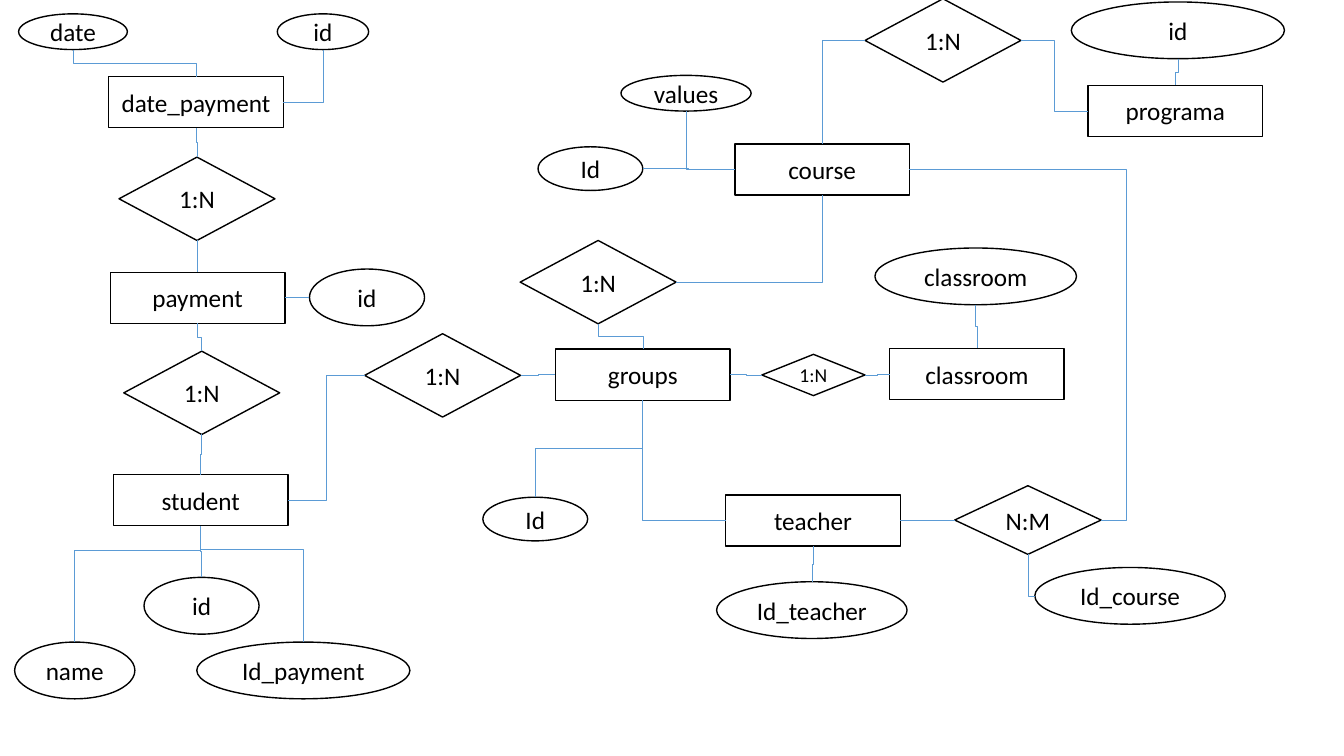
"""Build the entity-relationship diagram of a school as one slide."""
from dataclasses import dataclass
from enum import IntEnum

from pptx import Presentation
from pptx.dml.color import RGBColor
from pptx.enum import shapes, text
from pptx.oxml import ns, xmlchemy as xc
from pptx.util import Cm, Pt


@dataclass(frozen=True)
class Theme:
    """Colours, font and sizes of the diagram."""
    font: str = "Calibri"
    ink: RGBColor = RGBColor(0, 0, 0)
    paper: RGBColor = RGBColor(255, 255, 255)
    link: RGBColor = RGBColor(0x5B, 0x9B, 0xD5)
    size: Pt = Pt(18)
    small: Pt = Pt(14)
    outline: Pt = Pt(1)
    thin: Pt = Pt(0.5)


class Side(IntEnum):
    """Connection sites of a four-sided shape."""
    TOP = 0
    LEFT = 1
    BOTTOM = 2
    RIGHT = 3


THEME = Theme()
T, L, B, R = Side
RECT = shapes.MSO_SHAPE.RECTANGLE
DIAMOND = shapes.MSO_SHAPE.DIAMOND
OVAL = shapes.MSO_SHAPE.OVAL

ENTITIES = {
    "course": (18.52, 3.63),
    "programa": (27.42, 2.15),
    "groups": (14.0, 8.8),
    "payment": (2.78, 6.86),
    "teacher": (18.29, 12.47),
    "student": (2.86, 11.96),
    "date_payment": (2.74, 1.93),
    "classroom": (22.42, 8.78),
}
RELATIONS = {
    "programa-course": ("1:N", 21.8, -0.03),
    "teacher-course": ("N:M", 24.06, 12.24, 3.69, 1.73),
    "payment-student": ("1:N", 3.12, 8.85),
    "course-groups": ("1:N", 13.11, 6.06),
    "student-groups": ("1:N", 9.19, 8.41),
    "date-payment": ("1:N", 3.0, 3.96),
    "groups-classroom": ("1:N", 19.2, 8.93, 2.6, 1.04, THEME.small),
}
ATTRIBUTES = {
    "programa.id": ("id", 27.0, 0.05, 5.37),
    "student.id": ("id", 3.63, 14.55, 2.9),
    "payment.id": ("id", 7.8, 6.78, 2.9),
    "student.name": ("name", 0.37, 16.18, 3.03),
    "teacher.id": ("Id_teacher", 18.06, 14.66, 4.8),
    "student.payment": ("Id_payment", 4.96, 16.18, 5.37),
    "classroom.name": ("classroom", 22.05, 6.25, 5.08),
    "course.id": ("Id", 13.56, 3.7, 2.64, 1.1),
    "course.values": ("values", 15.65, 1.9, 3.28, 0.9),
    "date.id": ("id", 6.99, 0.35, 2.3, 0.9),
    "date.date": ("date", 0.47, 0.35, 2.74, 0.9),
    "groups.id": ("Id", 12.17, 12.53, 2.64, 1.1),
    "teaching.course": ("Id_course", 26.08, 14.3, 4.8),
}
LINKS = [
    ("programa", L, "programa-course", R),
    ("programa-course", L, "course", T),
    ("course", B, "course-groups", R),
    ("course-groups", B, "groups", T),
    ("teacher", R, "teacher-course", L),
    ("course", R, "teacher-course", R, 1.13),
    ("groups", B, "teacher", L),
    ("student", R, "student-groups", L),
    ("student-groups", R, "groups", L),
    ("student", T, "payment-student", B),
    ("payment", B, "payment-student", T),
    ("date-payment", B, "payment", T),
    ("date-payment", T, "date_payment", B),
    ("groups", R, "groups-classroom", L),
    ("classroom", L, "groups-classroom", R),
    ("programa.id", B, "programa", T),
    ("course.id", R, "course", L),
    ("course.values", B, "course", L),
    ("student.id", T, "student", B),
    ("student.name", T, "student", B, 0.79),
    ("student", B, "student.payment", T, 0.2),
    ("payment", R, "payment.id", L),
    ("date_payment", T, "date.date", B),
    ("date_payment", R, "date.id", B),
    ("classroom.name", B, "classroom", T),
    ("groups.id", T, "groups", B),
    ("teacher-course", B, "teaching.course", L),
    ("teacher", B, "teacher.id", T),
]


def apply(obj, values):
    """Set every attribute named in values on obj."""
    for name, value in values.items():
        setattr(obj, name, value)


def add_node(s, kind, label, x, y, w, h, size=THEME.size):
    """Add one outlined shape with a centred label."""
    sp = s.shapes.add_shape(kind, Cm(x), Cm(y), Cm(w), Cm(h))
    sp.shadow.inherit = False
    sp.fill.solid()
    sp.fill.fore_color.rgb = THEME.paper
    sp.line.color.rgb = THEME.ink
    sp.line.width = THEME.outline
    tf = sp.text_frame
    apply(tf, {"word_wrap": True, "vertical_anchor": text.MSO_ANCHOR.MIDDLE})
    p = tf.paragraphs[0]
    p.alignment = text.PP_ALIGN.CENTER
    r = p.add_run()
    r.text = label
    apply(r.font, {"name": THEME.font, "size": size})
    r.font.color.rgb = THEME.ink
    return sp


def add_entity(s, label, x, y):
    """Add an entity box."""
    return add_node(s, RECT, label, x, y, 4.4, 1.29)


def add_relation(s, label, x, y, w=3.93, h=2.1, size=THEME.size):
    """Add a relationship diamond."""
    return add_node(s, DIAMOND, label, x, y, w, h, size)


def add_attribute(s, label, x, y, w, h=1.43):
    """Add an attribute ellipse."""
    return add_node(s, OVAL, label, x, y, w, h)


def route(c, start, end, bend):
    """Turn and flip an elbow so that it leaves and arrives at the given sides."""
    x, y = c.begin_x, c.begin_y
    dx, dy = c.end_x - x, c.end_y - y
    w, h = abs(dx), abs(dy)
    if start in (T, B):
        w, h = h, w
        turn, flip_h, flip_v = (270 if dx * dy > 0 else 90), dx > 0, dy < 0
    else:
        turn, flip_h, flip_v = (180 if dx < 0 else 0), False, (dx < 0) != (dy < 0)
    apply(c, {"left": x + (dx - w) // 2, "top": y + (dy - h) // 2,
              "width": w, "height": h})
    xfrm = c._element.spPr.find(ns.qn("a:xfrm"))
    for name, value in {"rot": turn * 60000, "flipH": int(flip_h),
                        "flipV": int(flip_v)}.items():
        xfrm.set(name, str(value))
    geom = c._element.spPr.find(ns.qn("a:prstGeom"))
    if start % 2 != end % 2:
        geom.set("prst", "bentConnector2")
    elif bend != 0.5:
        gd = xc.OxmlElement("a:gd")
        gd.set("name", "adj1")
        gd.set("fmla", f"val {round(bend * 100000)}")
        geom.find(ns.qn("a:avLst")).append(gd)


def add_link(s, nodes, source, start, target, end, bend=0.5):
    """Join two nodes with a glued elbow connector."""
    c = s.shapes.add_connector(shapes.MSO_CONNECTOR.ELBOW, 0, 0, 0, 0)
    c.begin_connect(nodes[source], start)
    c.end_connect(nodes[target], end)
    route(c, start, end, bend)
    for tag, name, side in (("a:stCxn", source, start), ("a:endCxn", target, end)):
        if nodes[name].auto_shape_type == OVAL:
            next(c._element.iter(ns.qn(tag))).set("idx", str(side * 2))
    c.line.color.rgb = THEME.link
    c.line.width = THEME.thin
    c._element.spPr.append(xc.OxmlElement("a:effectLst"))


def main():
    """Draw the nodes, join them and save the slide."""
    prs = Presentation()
    apply(prs, {"slide_width": Cm(33.87), "slide_height": Cm(19.05)})
    s = prs.slides.add_slide(prs.slide_layouts[6])
    nodes = {name: add_entity(s, name, *at) for name, at in ENTITIES.items()}
    nodes |= {name: add_relation(s, *row) for name, row in RELATIONS.items()}
    nodes |= {name: add_attribute(s, *row) for name, row in ATTRIBUTES.items()}
    for link in LINKS:
        add_link(s, nodes, *link)
    prs.save("out.pptx")


if __name__ == "__main__":
    main()
